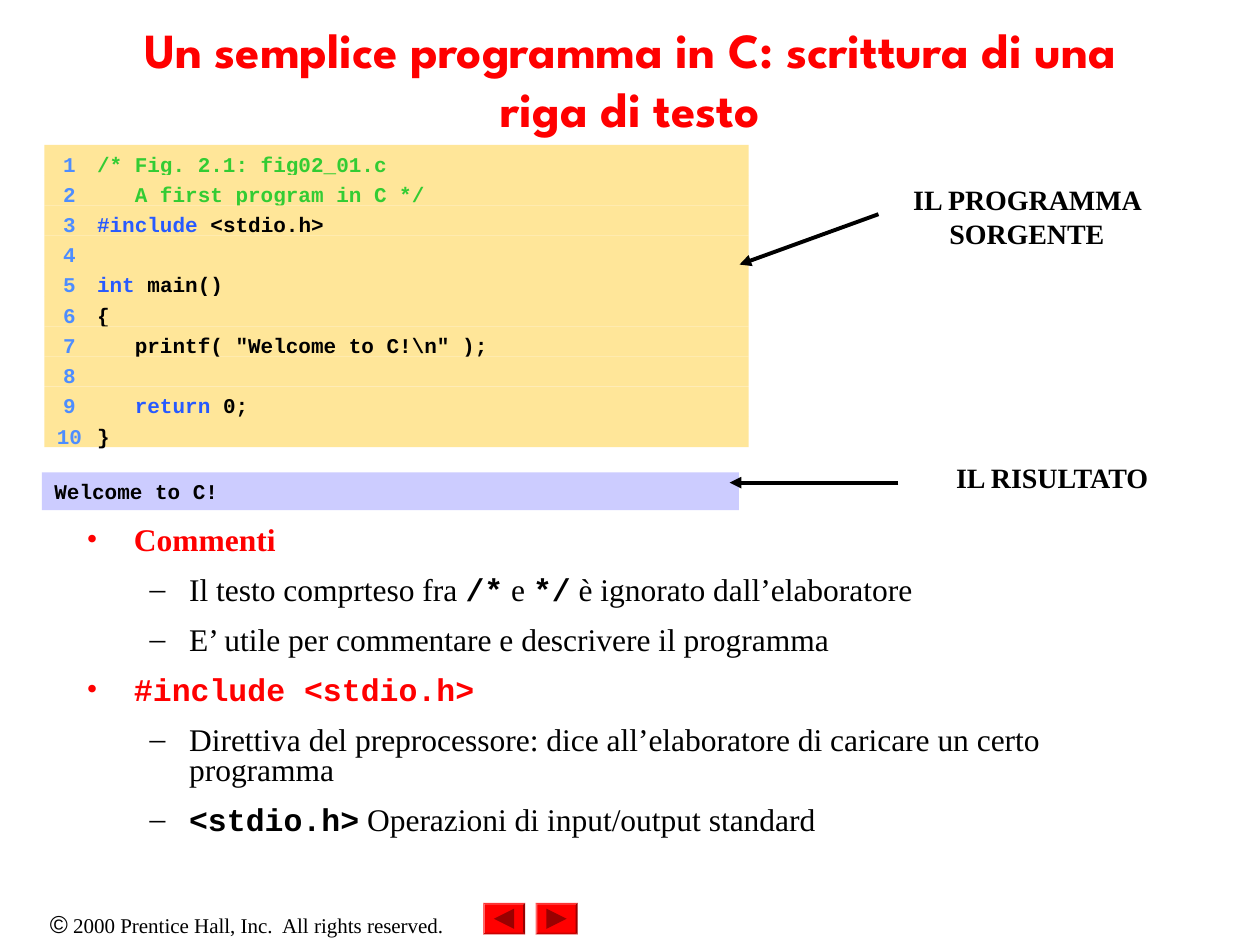
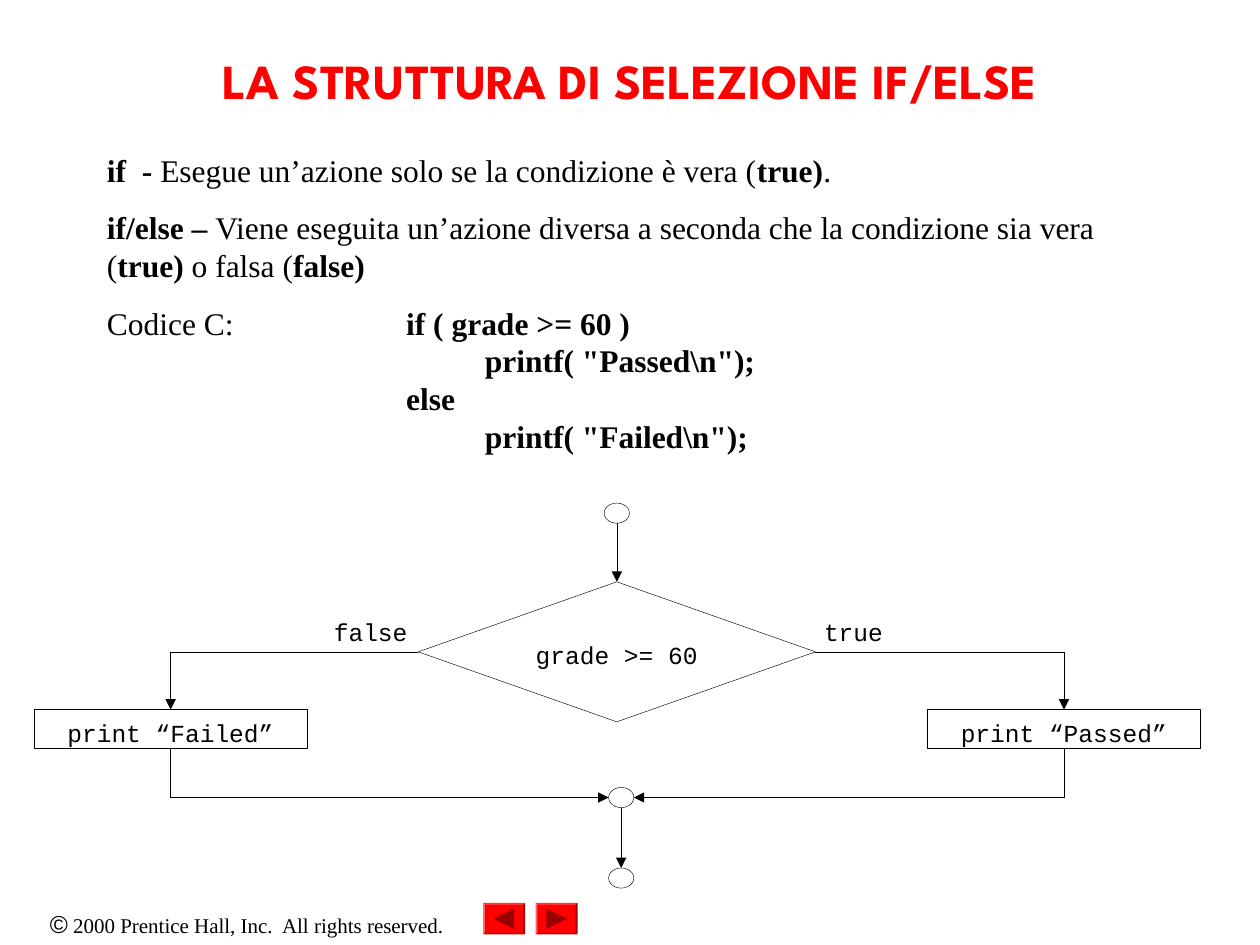
"""Build two C programming slides: a first program and the if/else selection structure."""
from lxml.etree import SubElement
from pptx import Presentation
from pptx.dml.color import RGBColor
from pptx.enum.shapes import MSO_CONNECTOR, MSO_SHAPE
from pptx.enum.text import MSO_ANCHOR, PP_ALIGN
from pptx.oxml.ns import qn
from pptx.util import Pt

COLORS = {
    "red": "FF0000", "dark red": "990000", "black": "000000", "white": "FFFFFF",
    "sand": "FFE699", "lilac": "CCCCFF", "number": "4D8DFF", "green": "33CC33", "blue": "275AFF",
}
SERIF, MONO = "Times New Roman", "Courier New"
STYLES = {
    "title": ("League Spartan", 28, True, "red"),
    "symbol": ("Arial", 14, False, "black"),
    "footer": (SERIF, 12, False, "black"),
    "body": (SERIF, 18, False, "black"),
    "strong": (SERIF, 18, True, "black"),
    "topic": (SERIF, 18, True, "red"),
    "body code": (MONO, 18, True, "black"),
    "topic code": (MONO, 18, True, "red"),
    "callout": (SERIF, 16, True, "black"),
    "number": (MONO, 12, True, "number"),
    "comment": (MONO, 12, True, "green"),
    "keyword": (MONO, 12, True, "blue"),
    "code": (MONO, 12, True, "black"),
    "flow": (MONO, 14, False, "black"),
}


def add_box(slide, kind, place, fill=None, outline=None):
    """Add a preset shape, or a text box when kind is None."""
    lengths = [Pt(value) for value in place]
    if kind is None:
        return slide.shapes.add_textbox(*lengths)
    shape = slide.shapes.add_shape(kind, *lengths)
    shape.shadow.inherit = False
    if fill:
        shape.fill.solid()
        shape.fill.fore_color.rgb = RGBColor.from_string(COLORS[fill])
    else:
        shape.fill.background()
    if outline:
        shape.line.color.rgb = RGBColor.from_string(COLORS[outline])
        shape.line.width = Pt(0.25)
    else:
        shape.line.fill.background()
    return shape


def write(shape, paragraphs, align=PP_ALIGN.LEFT, anchor=MSO_ANCHOR.TOP,
          insets=(7.2, 3.6, 7.2, 3.6), gap=0, tabs=()):
    """Fill a shape with paragraphs, each a list of (text, style) runs."""
    frame = shape.text_frame
    frame.word_wrap = True
    frame.vertical_anchor = anchor
    frame.margin_left, frame.margin_top, frame.margin_right, frame.margin_bottom = map(Pt, insets)
    for index, runs in enumerate(paragraphs):
        paragraph = frame.add_paragraph() if index else frame.paragraphs[0]
        paragraph.alignment = align
        paragraph.space_before = Pt(gap if index else 0)
        if tabs:
            tab_list = SubElement(paragraph._p.get_or_add_pPr(), qn("a:tabLst"))
            for position, side in tabs:
                SubElement(tab_list, qn("a:tab"), pos=str(Pt(position)), algn=side)
        for text, style in runs:
            for part, line in enumerate(text.split("\v")):
                if part:
                    paragraph.add_line_break()
                run = paragraph.add_run()
                run.text = line
                name, size, bold, color = STYLES[style]
                run.font.name, run.font.size, run.font.bold = name, Pt(size), bold
                run.font.color.rgb = RGBColor.from_string(COLORS[color])


presentation = Presentation()
presentation.slide_width, presentation.slide_height = Pt(720), Pt(540)

titles = [
    ("Un semplice programma in C: scrittura di una riga di testo", 5.8, 77.8),
    ("LA STRUTTURA DI SELEZIONE IF/ELSE", 20.2, 51),
]
slides = []
for title, top, height in titles:
    slide = presentation.slides.add_slide(presentation.slide_layouts[6])
    slides.append(slide)
    write(add_box(slide, None, (54, top, 612, height)), [[(title, "title")]],
          PP_ALIGN.CENTER, MSO_ANCHOR.MIDDLE)
    write(add_box(slide, None, (0, 516.2, 282.2, 24.5)),
          [[("©", "symbol"), (" 2000 Prentice Hall, Inc.  All rights reserved.", "footer")]],
          PP_ALIGN.CENTER)
    for left, turn in ((276, -90), (306, 90)):
        button = add_box(slide, MSO_SHAPE.BEVEL, (left, 516, 24, 18), "red")
        button.adjustments[0] = 0.06
        arrow = add_box(slide, MSO_SHAPE.ISOSCELES_TRIANGLE, (left + 6.2, 519.2, 11.6, 11.6), "dark red")
        arrow.rotation = turn
program_slide, selection_slide = slides

program = [
    [("/* Fig. 2.1: fig02_01.c", "comment")],
    [("   A first program in C */", "comment")],
    [("#include", "keyword"), (" <stdio.h>", "code")],
    [],
    [("int", "keyword"), (" main()", "code")],
    [("{", "code")],
    [('   printf( "Welcome to C!\\n" );', "code")],
    [],
    [("   return", "keyword"), (" 0;", "code")],
    [("}", "code")],
]
for number, code in enumerate(program, 1):
    row = add_box(program_slide, MSO_SHAPE.RECTANGLE, (25.4, 82.8 + 17.28 * (number - 1), 402.4, 17.28), "sand")
    write(row, [[(f"\t{number}\t", "number")] + code], tabs=[(10.8, "r"), (23, "l")])

output = add_box(program_slide, MSO_SHAPE.RECTANGLE, (24, 270, 398.2, 21.6), "lilac")
write(output, [[("Welcome to C!", "code")]])
for callout, place in (("IL PROGRAMMA SORGENTE", (507.6, 101, 158.4, 46)),
                       ("IL RISULTATO", (513.4, 259.6, 175.6, 26.6))):
    write(add_box(program_slide, None, place), [[(callout, "callout")]], PP_ALIGN.CENTER)

notes = [
    (0, [("Commenti", "topic")]),
    (1, [("Il testo comprteso fra ", "body"), ("/*", "body code"), (" e ", "body"),
         ("*/", "body code"), (" è ignorato dall’elaboratore", "body")]),
    (1, [("E’ utile per commentare e descrivere il programma", "body")]),
    (0, [("#include <stdio.h>", "topic code")]),
    (1, [("Direttiva del preprocessore: dice all’elaboratore di caricare un certo programma", "body")]),
    (1, [("<stdio.h>", "body code"), (" Operazioni di input/output standard", "body")]),
]
explanation = add_box(program_slide, None, (42.5, 298, 612, 198.7))
write(explanation, [runs for level, runs in notes], gap=11.2)
bullets = [("•", "red", 27, -27), ("–", "black", 58.5, -22.5)]
for paragraph, (level, runs) in zip(explanation.text_frame.paragraphs, notes):
    mark, color, margin, indent = bullets[level]
    paragraph.level = level
    paragraph.line_spacing = 0.8
    properties = paragraph._p.get_or_add_pPr()
    properties.set("marL", str(Pt(margin)))
    properties.set("indent", str(Pt(indent)))
    SubElement(SubElement(properties, qn("a:buClr")), qn("a:srgbClr"), val=COLORS[color])
    SubElement(properties, qn("a:buFont"), typeface=SERIF)
    SubElement(properties, qn("a:buChar"), char=mark)

write(add_box(selection_slide, None, (54, 82.8, 617.8, 181.4)), [
    [("if  - ", "strong"), ("Esegue un’azione solo se la condizione è vera (", "body"),
     ("true)", "strong"), (".", "body")],
    [("if/else – ", "strong"),
     ("Viene eseguita un’azione diversa a seconda che la condizione sia vera (", "body"),
     ("true)", "strong"), (" o falsa (", "body"), ("false)", "strong")],
    [("Codice C:\t", "body"),
     ('if ( grade >= 60 )\v\t\tprintf( "Passed\\n");\v\telse\v\t\tprintf( "Failed\\n");', "strong")],
], gap=11.2, tabs=[(171, "l"), (216, "l")])

decision = add_box(selection_slide, MSO_SHAPE.DIAMOND, (239, 332.5, 227, 80), "white", "black")
write(decision, [[("grade >= 60", "flow")]], PP_ALIGN.CENTER, insets=(0, 13, 0, 0))
start, merge, end = [
    add_box(selection_slide, MSO_SHAPE.OVAL, (center - 7.2, top, 14.4, 11.5), outline="black")
    for center, top in ((352.5, 287.5), (355, 450), (355, 496))
]
for answer, left in (("false", 190.8), ("true", 470.9)):
    write(add_box(selection_slide, None, (left, 352.8, 61, 22)), [[(answer, "flow")]], insets=(0, 0, 0, 0))

links = [
    (program_slide, (502, 122.4), (422.6, 151.2), 2.25, True),
    (program_slide, (513.4, 275.8), (416.9, 275.8), 2.25, True),
    (selection_slide, (352.5, 299), (decision, 0), 0.25, True),
    (selection_slide, (355, 461.5), (end, 0), 0.25, True),
]
for result, center, side, merge_x in (("Failed", 97.5, 1, 347.8), ("Passed", 608, 3, 362.2)):
    action = add_box(selection_slide, MSO_SHAPE.RECTANGLE, (center - 78, 405.5, 156, 22), outline="black")
    write(action, [[(f"print “{result}”", "flow")]], PP_ALIGN.CENTER, insets=(0, 5, 0, 0))
    links += [
        (selection_slide, (decision, side), (center, 372.5), 0.25, False),
        (selection_slide, (center, 372.5), (action, 0), 0.25, True),
        (selection_slide, (action, 2), (center, 455.75), 0.25, False),
        (selection_slide, (center, 455.75), (merge_x, 455.75), 0.25, True),
    ]

for slide, origin, target, width, pointed in links:
    points = [(0, 0) if hasattr(place[0], "text_frame") else place for place in (origin, target)]
    link = slide.shapes.add_connector(MSO_CONNECTOR.STRAIGHT, *[Pt(value) for point in points for value in point])
    if hasattr(origin[0], "text_frame"):
        link.begin_connect(*origin)
    if hasattr(target[0], "text_frame"):
        link.end_connect(*target)
    link.line.color.rgb = RGBColor.from_string(COLORS["black"])
    link.line.width = Pt(width)
    if pointed:
        SubElement(link.line._get_or_add_ln(), qn("a:tailEnd"), type="triangle")
    SubElement(link._element.spPr, qn("a:effectLst"))

presentation.save("out.pptx")
